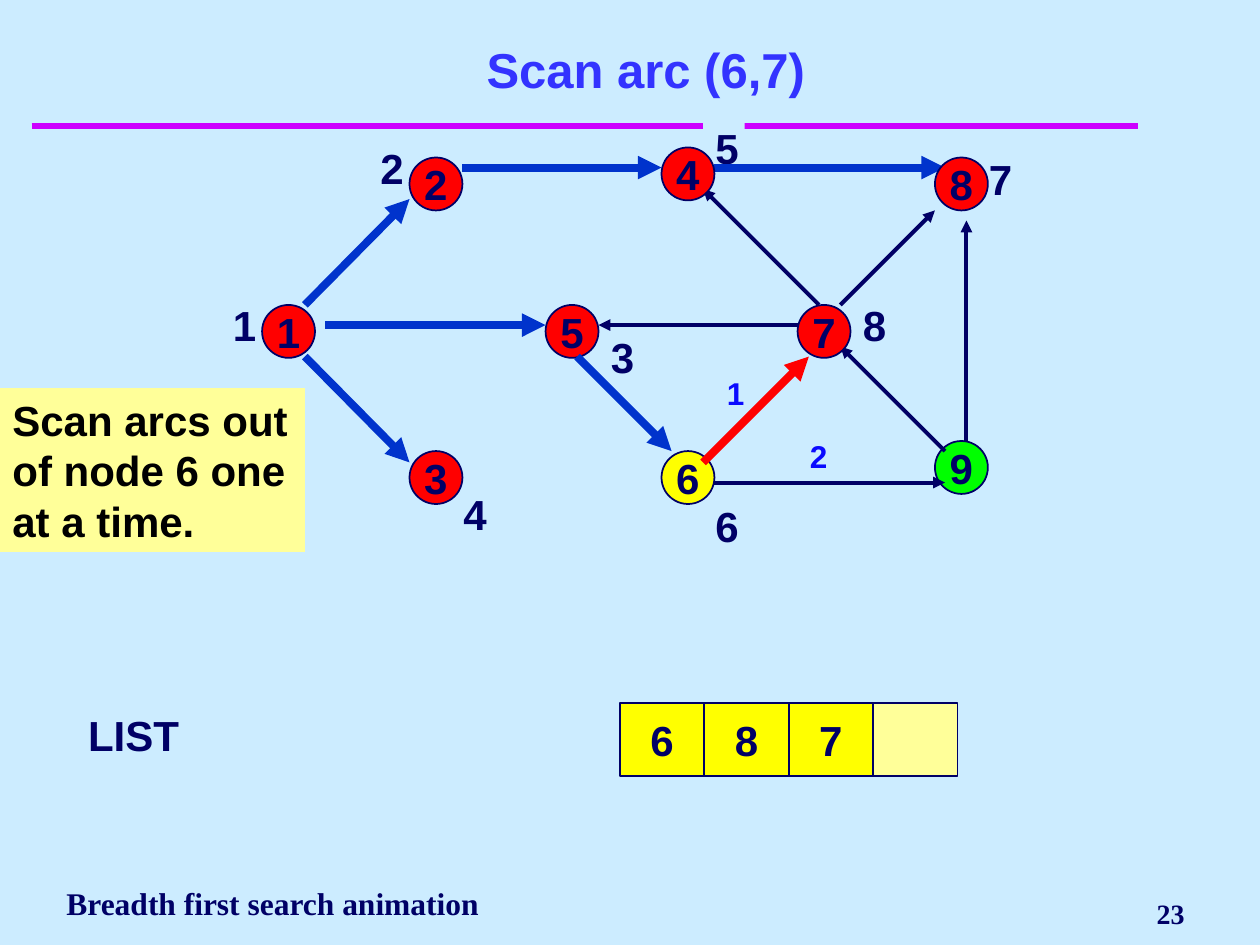
"""Build a breadth first search slide: node graph, scanned arcs and queue list."""
from dataclasses import dataclass

from lxml import etree
from pptx import Presentation
from pptx.dml.color import RGBColor
from pptx.enum.shapes import MSO_CONNECTOR, MSO_SHAPE
from pptx.enum.text import MSO_ANCHOR, PP_ALIGN
from pptx.oxml.ns import qn
from pptx.slide import Slide
from pptx.util import Inches, Pt

RECTANGLE, OVAL = MSO_SHAPE.RECTANGLE, MSO_SHAPE.OVAL
STRAIGHT = MSO_CONNECTOR.STRAIGHT
LEFT, CENTER, RIGHT = PP_ALIGN.LEFT, PP_ALIGN.CENTER, PP_ALIGN.RIGHT
TOP, MIDDLE, BOTTOM = MSO_ANCHOR.TOP, MSO_ANCHOR.MIDDLE, MSO_ANCHOR.BOTTOM

SKY = RGBColor(0xCC, 0xEC, 0xFF)
NAVY = RGBColor(0x00, 0x00, 0x66)
BLUE = RGBColor(0x00, 0x33, 0xCC)
TITLE_BLUE = RGBColor(0x33, 0x33, 0xFF)
COST_BLUE = RGBColor(0x0A, 0x0A, 0xFF)
MAGENTA = RGBColor(0xCC, 0x00, 0xFF)
RED = RGBColor(0xFF, 0x00, 0x00)
GREEN = RGBColor(0x00, 0xFF, 0x00)
YELLOW = RGBColor(0xFF, 0xFF, 0x00)
PALE_YELLOW = RGBColor(0xFF, 0xFF, 0x99)
BLACK = RGBColor(0x00, 0x00, 0x00)

NODE_SIZE = 0.42
CELL_WIDTH, CELL_HEIGHT = 0.67, 0.58
LIST_LEFT, LIST_TOP = 4.92, 5.58


@dataclass(frozen=True)
class Style:
    size: float = 24
    color: RGBColor = NAVY
    font: str = "Arial"
    align: PP_ALIGN = LEFT
    anchor: MSO_ANCHOR = TOP


@dataclass(frozen=True)
class Node:
    name: str
    left: float
    top: float
    fill: RGBColor = RED


@dataclass(frozen=True)
class Arc:
    start: tuple[float, float]
    end: tuple[float, float]
    color: RGBColor = NAVY
    width: float = 2.25


LABEL = Style()
CENTERED = Style(align=CENTER, anchor=MIDDLE)
COST = Style(size=18, color=COST_BLUE)

BACK_NODES = [
    Node("9", 7.42, 3.5, GREEN),
    Node("1", 2.08, 2.42),
    Node("2", 3.25, 1.25),
    Node("5", 4.33, 2.42),
]
FRONT_NODES = [
    Node("3", 3.25, 3.58),
    Node("4", 5.25, 1.17),
    Node("8", 7.42, 1.25),
    Node("6", 5.25, 3.58, YELLOW),
]
LAST_NODE = Node("7", 6.33, 2.42)

ARCS = [
    Arc((6.67, 2.42), (7.42, 1.67)),
    Arc((6.5, 2.42), (5.58, 1.5)),
    Arc((5.67, 3.83), (7.5, 3.83)),
    Arc((7.5, 3.58), (6.67, 2.75)),
    Arc((7.67, 3.5), (7.67, 1.75)),
    Arc((6.33, 2.58), (4.75, 2.58)),
    Arc((2.42, 2.42), (3.25, 1.58), BLUE, 4.5),
    Arc((2.58, 2.58), (4.33, 2.58), BLUE, 4.5),
    Arc((2.42, 2.83), (3.25, 3.67), BLUE, 4.5),
    Arc((3.67, 1.33), (5.25, 1.33), BLUE, 4.5),
    Arc((4.58, 2.83), (5.33, 3.58), BLUE, 4.5),
    Arc((5.67, 1.33), (7.5, 1.33), BLUE, 4.5),
]
SCANNED_ARC = Arc((5.58, 3.67), (6.42, 2.83), RED, 4.5)
TITLE_RULE = Arc((0.25, 1), (9.03, 1), MAGENTA, 4)

ORDER_LABELS = [
    ("1", 1.75, 2.33),
    ("2", 2.92, 1.08),
    ("3", 4.75, 2.58),
    ("4", 3.58, 3.83),
    ("5", 5.58, 0.92),
    ("6", 5.58, 3.92),
    ("7", 7.75, 1.17),
    ("8", 6.75, 2.33),
]
LIST_CELLS = ["6", "8", "7", ""]


def write_text(shape, text: str, style: Style, wrap: bool = True) -> None:
    frame = shape.text_frame
    frame.word_wrap = wrap
    frame.vertical_anchor = style.anchor
    paragraph = frame.paragraphs[0]
    paragraph.text = text
    paragraph.alignment = style.align
    font = paragraph.font
    font.name, font.size, font.bold = style.font, Pt(style.size), True
    font.color.rgb = style.color


def add_text(slide: Slide, text: str, left: float, top: float, width: float,
             height: float, style: Style) -> None:
    box = slide.shapes.add_textbox(
        Inches(left), Inches(top), Inches(width), Inches(height))
    write_text(box, text, style)


def add_block(slide: Slide, kind: MSO_SHAPE, text: str, left: float, top: float,
              width: float, height: float, fill: RGBColor, style: Style,
              outlined: bool = True) -> None:
    shape = slide.shapes.add_shape(
        kind, Inches(left), Inches(top), Inches(width), Inches(height))
    shape.shadow.inherit = False
    shape.fill.solid()
    shape.fill.fore_color.rgb = fill
    if outlined:
        shape.line.color.rgb = NAVY
        shape.line.width = Pt(1)
    else:
        shape.line.fill.background()
    if text:
        write_text(shape, text, style, wrap=kind != OVAL)


def add_node(slide: Slide, node: Node) -> None:
    add_block(slide, OVAL, node.name, node.left, node.top, NODE_SIZE, NODE_SIZE,
              node.fill, CENTERED)


def add_arc(slide: Slide, arc: Arc, arrow: bool = True) -> None:
    connector = slide.shapes.add_connector(
        STRAIGHT, *(Inches(value) for value in arc.start + arc.end))
    connector.line.color.rgb = arc.color
    connector.line.width = Pt(arc.width)
    if arrow:
        line = connector.line._get_or_add_ln()
        etree.SubElement(line, qn("a:tailEnd"), type="triangle")
    etree.SubElement(connector._element.spPr, qn("a:effectLst"))


def main() -> None:
    presentation = Presentation()
    presentation.slide_width, presentation.slide_height = Inches(10), Inches(7.5)
    slide = presentation.slides.add_slide(presentation.slide_layouts[6])
    slide.background.fill.solid()
    slide.background.fill.fore_color.rgb = SKY

    add_arc(slide, TITLE_RULE, arrow=False)
    add_text(slide, "Scan arc (6,7)", 0.5, 0.25, 9.25, 0.58,
             Style(28, TITLE_BLUE, align=CENTER, anchor=BOTTOM))
    add_text(slide, "Breadth first search animation", 0.33, 6.92, 3.67, 0.5,
             Style(18, font="Times New Roman", align=CENTER, anchor=MIDDLE))
    add_text(slide, "23", 7.58, 7, 1.92, 0.5,
             Style(16, font="Times New Roman", align=RIGHT, anchor=MIDDLE))

    for text, left, top in ORDER_LABELS:
        add_block(slide, RECTANGLE, text, left, top, 0.33, 0.5, SKY, LABEL,
                  outlined=False)
    for node in BACK_NODES:
        add_node(slide, node)
    for arc in ARCS:
        add_arc(slide, arc)
    for node in FRONT_NODES:
        add_node(slide, node)
    add_arc(slide, SCANNED_ARC)
    add_node(slide, LAST_NODE)
    add_text(slide, "1", 5.67, 2.92, 0.5, 0.4, COST)
    add_text(slide, "2", 6.33, 3.42, 0.5, 0.4, COST)

    add_block(slide, RECTANGLE, "Scan arcs out of node 6 one at a time.",
              0, 3.08, 2.42, 1.3, PALE_YELLOW, Style(color=BLACK), outlined=False)
    add_text(slide, "LIST", 0.6, 5.58, 1.11, 0.5, LABEL)
    for index, text in enumerate(LIST_CELLS):
        add_block(slide, RECTANGLE, text, LIST_LEFT + index * CELL_WIDTH, LIST_TOP,
                  CELL_WIDTH, CELL_HEIGHT, YELLOW if text else PALE_YELLOW, CENTERED)

    presentation.save("out.pptx")


if __name__ == "__main__":
    main()
